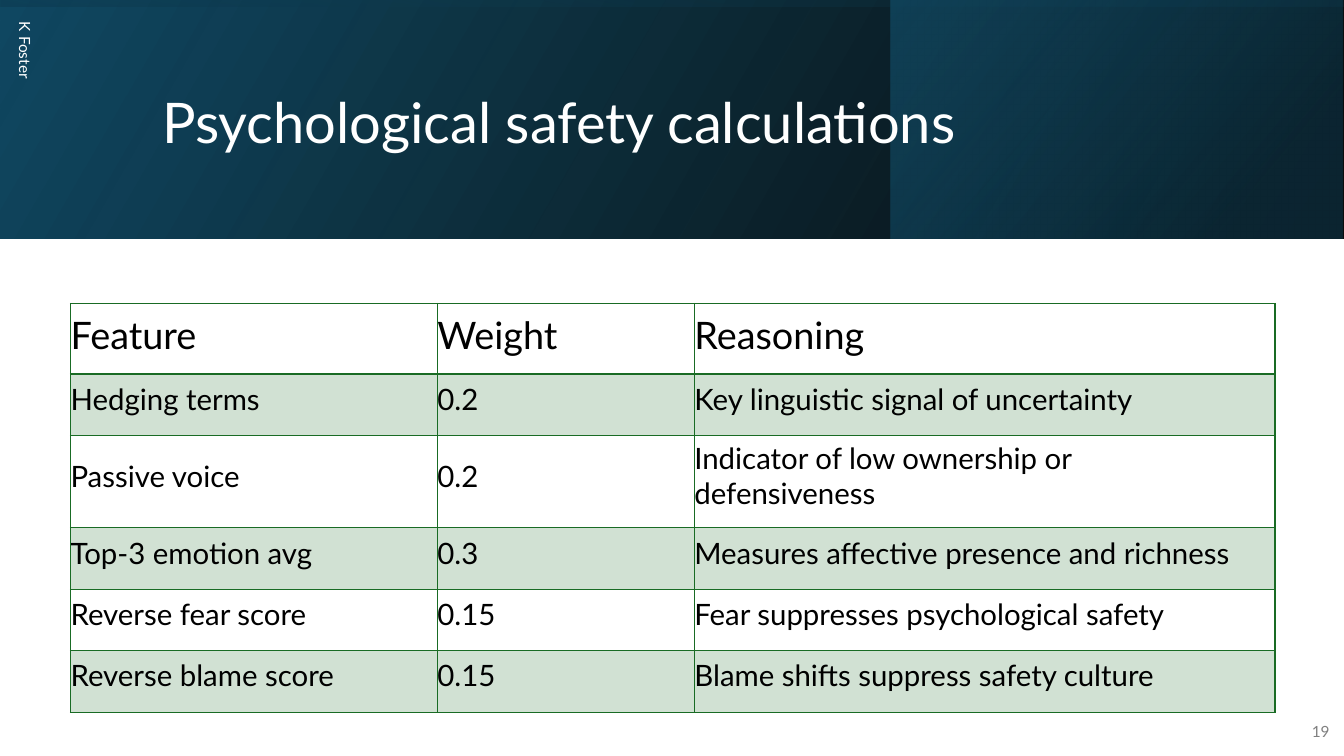
import lxml.etree
import pptx
import pptx.dml.color
import pptx.enum.shapes
import pptx.enum.text
import pptx.oxml.ns
import pptx.util

Pt = pptx.util.Pt
qn = pptx.oxml.ns.qn
ANCHOR = pptx.enum.text.MSO_ANCHOR
ALIGN = pptx.enum.text.PP_ALIGN

COLOURS = {
    "black": "000000",
    "white": "FFFFFF",
    "grey": "808080",
    "navy": "104862",
    "deep": "0B3041",
    "teal": "156082",
    "green": "196B24",
}
SLIDE_W, SLIDE_H = 960, 540
BANNER_H = 170.6


def rgb(name):
    return pptx.dml.color.RGBColor.from_string(COLOURS[name])


def set_alpha(colour_element, percent):
    alpha = lxml.etree.SubElement(colour_element, qn("a:alpha"))
    alpha.set("val", str(percent * 1000))


class SlideBuilder:
    font = "Lato"

    def __init__(self, slide):
        self.slide = slide

    def add_text(self, frame, text, size, colour, align=ALIGN.LEFT):
        paragraph = frame.paragraphs[0]
        paragraph.alignment = align
        run = paragraph.add_run()
        run.text = text
        run.font.name = self.font
        run.font.size = Pt(size)
        run.font.bold = False
        run.font.color.rgb = rgb(colour)
        return paragraph

    def gradient_panel(self, left, top, width, height, stops, angle, rotation=0):
        """Mirrored rectangle; each stop is (position, colour, opacity), in percent."""
        panel = self.slide.shapes.add_shape(
            pptx.enum.shapes.MSO_SHAPE.RECTANGLE, Pt(left), Pt(top), Pt(width), Pt(height))
        panel.shadow.inherit = False
        panel.line.fill.background()
        panel.rotation = rotation
        properties = panel._element.spPr
        properties.xfrm.set("flipH", "1")
        panel.fill.gradient()
        panel.fill.gradient_angle = angle
        for stop, (position, colour, _) in zip(panel.fill.gradient_stops, stops):
            stop.position = position / 100
            stop.color.rgb = rgb(colour)
        for element, (_, _, opacity) in zip(list(properties.iter(qn("a:srgbClr"))), stops):
            set_alpha(element, opacity)

    def title(self, text, left, top, width, height):
        heading = self.slide.shapes.title
        # Bring the title in front of the banner
        self.slide.shapes._spTree.append(heading._element)
        heading.left, heading.top = Pt(left), Pt(top)
        heading.width, heading.height = Pt(width), Pt(height)
        frame = heading.text_frame
        frame.auto_size = pptx.enum.text.MSO_AUTO_SIZE.NONE
        frame.vertical_anchor = ANCHOR.MIDDLE
        self.add_text(frame, text, 40, "white").line_spacing = 0.9

    def label(self, text, left, top, width, height, colour, align=ALIGN.LEFT, rotation=0):
        box = self.slide.shapes.add_textbox(Pt(left), Pt(top), Pt(width), Pt(height))
        box.rotation = rotation
        box.text_frame.word_wrap = True
        box.text_frame.vertical_anchor = ANCHOR.MIDDLE
        self.add_text(box.text_frame, text, 11, colour, align).space_after = Pt(6)

    def border(self, cell, widths):
        """Widths are in points, in the order left, right, top, bottom."""
        properties = cell._tc.get_or_add_tcPr()
        for index, (side, width) in enumerate(zip("LRTB", widths)):
            line = lxml.etree.Element(qn(f"a:ln{side}"), w=str(Pt(width)))
            fill = lxml.etree.SubElement(line, qn("a:solidFill"))
            lxml.etree.SubElement(fill, qn("a:srgbClr"), val=COLOURS["green"])
            properties.insert(index, line)

    def table(self, rows, left, top, column_widths, header_height, row_height):
        heights = [header_height] + [row_height] * (len(rows) - 1)
        grid = self.slide.shapes.add_table(
            len(rows), len(column_widths), Pt(left), Pt(top),
            Pt(sum(column_widths)), Pt(sum(heights))).table
        grid.first_row = grid.horz_banding = False
        for column, width in zip(grid.columns, column_widths):
            column.width = Pt(width)
        for index, (row, height, texts) in enumerate(zip(grid.rows, heights, rows)):
            row.height = Pt(height)
            header = index == 0
            for cell, text in zip(row.cells, texts):
                cell.margin_left = 0
                cell.margin_top = Pt(2.4 if header else 3.6)
                cell.margin_right = cell.margin_bottom = Pt(12)
                cell.vertical_anchor = ANCHOR.BOTTOM if header else ANCHOR.MIDDLE
                self.add_text(cell.text_frame, text, 27 if header else 21, "black")
                # Odd rows carry a pale green band
                if index % 2:
                    cell.fill.solid()
                    cell.fill.fore_color.rgb = rgb("green")
                    set_alpha(next(cell._tc.tcPr.iter(qn("a:srgbClr"))), 20)
                else:
                    cell.fill.background()
                self.border(cell, (1, 1, 2 if index == 1 else 1, 2 if header else 1))


def main():
    deck = pptx.Presentation()
    deck.slide_width, deck.slide_height = Pt(SLIDE_W), Pt(SLIDE_H)
    builder = SlideBuilder(deck.slides.add_slide(deck.slide_layouts[5]))

    # Banner: base, right-hand glow and a full-width shade turned on its side
    builder.gradient_panel(0, 0, SLIDE_W, BANNER_H,
                           [(0, "black", 96), (100, "navy", 100)], 30)
    builder.gradient_panel(636.5, 0, 322.6, BANNER_H,
                           [(19, "deep", 68), (100, "teal", 48)], 40)
    offset = (SLIDE_W - BANNER_H) / 2
    builder.gradient_panel(offset, -offset, BANNER_H, SLIDE_W,
                           [(23, "navy", 16), (99, "black", 45)], 10, rotation=270)

    # Title, author and page number
    builder.title("Psychological safety calculations", 108.7, 27.4, 765.4, 123.8)
    builder.label("K Foster", -144, 156.2, 324, 28.8, "white", rotation=90)
    builder.label("19", 921.6, 508.3, 35.3, 28.8, "grey", align=ALIGN.RIGHT)

    # Feature weights
    features = [
        ("Feature", "Weight", "Reasoning"),
        ("Hedging terms", "0.2", "Key linguistic signal of uncertainty"),
        ("Passive voice", "0.2", "Indicator of low ownership or defensiveness"),
        ("Top-3 emotion avg", "0.3", "Measures affective presence and richness"),
        ("Reverse fear score", "0.15", "Fear suppresses psychological safety"),
        ("Reverse blame score", "0.15", "Blame shifts suppress safety culture"),
    ]
    builder.table(features, 50.4, 216.7, [262, 183.6, 414.7], 50.4, 43.9)

    deck.save("out.pptx")


if __name__ == "__main__":
    main()
